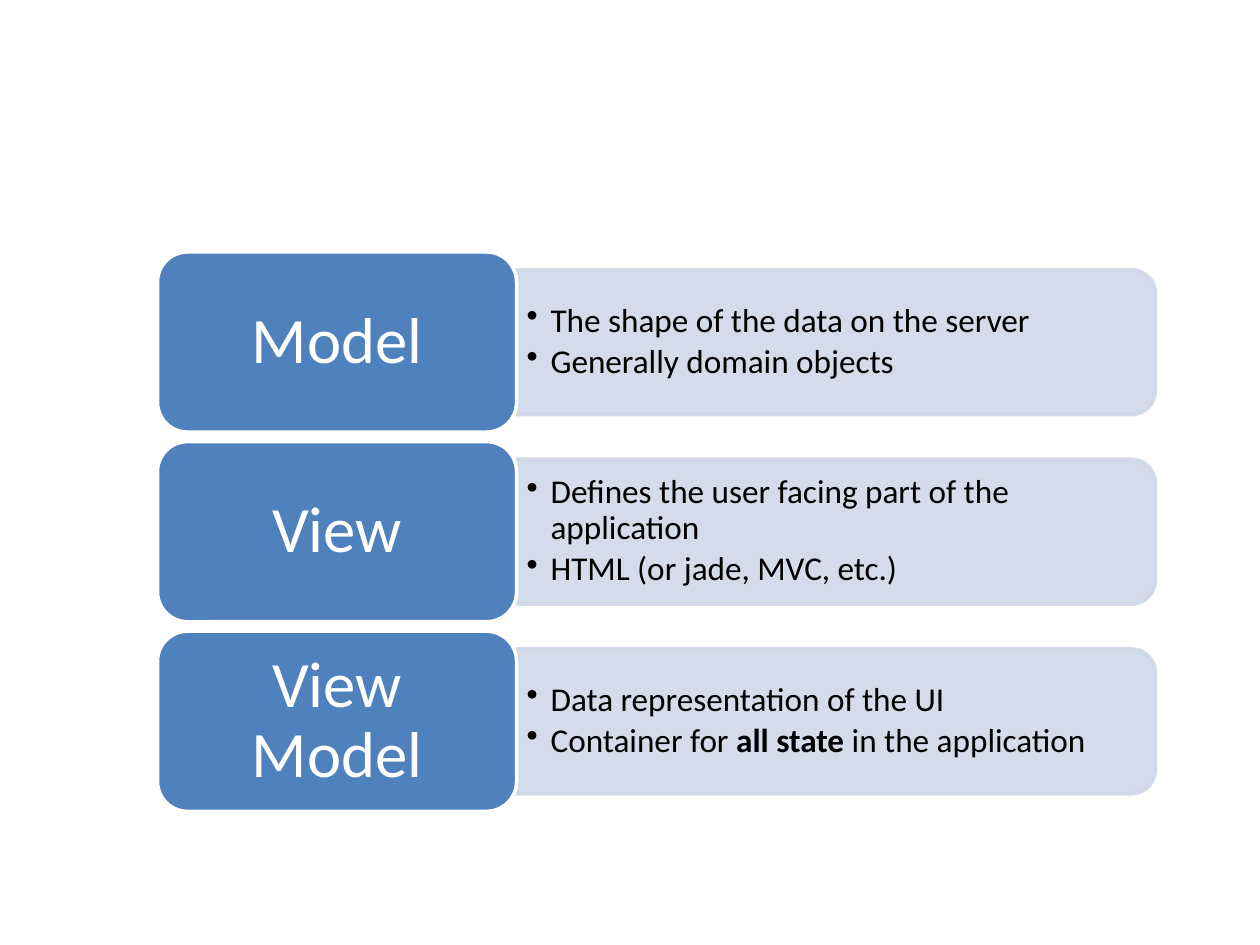
from lxml import etree
from pptx import Presentation
from pptx import util as u
from pptx.dml.color import RGBColor
from pptx.enum import shapes, text
from pptx.oxml.ns import qn

BLUE = RGBColor(0x4F, 0x81, 0xBD)
PALE = RGBColor(0xD0, 0xD8, 0xE8)
WHITE = RGBColor(0xFF, 0xFF, 0xFF)
BLACK = RGBColor(0, 0, 0)
FONT = "Calibri"

LEFT, TOP, WIDTH = 1.25, 2, 7.92
ROW_H, ROW_PITCH = 1.43, 1.505
LABEL_W, PANEL_H = 2.85, 1.15

ROWS = [
    ("Model", [
        [("The shape of the data on the server", False)],
        [("Generally domain objects", False)],
    ]),
    ("View", [
        [("Defines the user facing part of the application", False)],
        [("HTML (or jade, MVC, etc.)", False)],
    ]),
    ("View Model", [
        [("Data representation of the UI", False)],
        [("Container for ", False), ("all state", True), (" in the application", False)],
    ]),
]


def add_box(s, kind, x, y, w, h, fill, line):
    sp = s.shapes.add_shape(kind, *map(u.Inches, (x, y, w, h)))
    sp.shadow.inherit = False
    sp.fill.solid()
    sp.fill.fore_color.rgb = fill
    sp.line.color.rgb = line
    sp.line.width = u.Pt(2)
    return sp


def set_frame(tf, dx, dy):
    tf.word_wrap = True
    tf.vertical_anchor = text.MSO_ANCHOR.MIDDLE
    tf.margin_left = tf.margin_right = u.Inches(dx)
    tf.margin_top = tf.margin_bottom = u.Inches(dy)


def add_run(p, words, size, color, bold=False):
    r = p.add_run()
    r.text = words
    r.font.name = FONT
    r.font.size = u.Pt(size)
    r.font.color.rgb = color
    r.font.bold = bold


def set_bullet(p):
    pPr = p._p.get_or_add_pPr()
    pPr.set("marL", str(u.Inches(0.19)))
    pPr.set("indent", str(u.Inches(-0.19)))
    etree.SubElement(pPr, qn("a:buChar")).set("char", "•")


def add_panel(s, x, y, w, h):
    sp = add_box(s, shapes.MSO_SHAPE.ROUND_2_SAME_RECTANGLE,
                 x + (w - h) / 2, y + (h - w) / 2, h, w, PALE, PALE)
    sp.rotation = 90
    for color in sp._element.spPr.iter(qn("a:srgbClr")):
        etree.SubElement(color, qn("a:alpha")).set("val", "90000")


def add_details(s, x, y, w, h, points):
    tf = s.shapes.add_textbox(*map(u.Inches, (x, y, w, h))).text_frame
    set_frame(tf, 0.08, 0.04)
    for i, runs in enumerate(points):
        p = tf.add_paragraph() if i else tf.paragraphs[0]
        p.line_spacing = 0.9
        p.space_after = u.Pt(3)
        set_bullet(p)
        for words, bold in runs:
            add_run(p, words, 19, BLACK, bold)


def add_label(s, x, y, w, h, words):
    sp = add_box(s, shapes.MSO_SHAPE.ROUNDED_RECTANGLE, x, y, w, h, BLUE, WHITE)
    set_frame(sp.text_frame, 0.15, 0.08)
    p = sp.text_frame.paragraphs[0]
    p.alignment = text.PP_ALIGN.CENTER
    p.line_spacing = 0.9
    add_run(p, words, 37, WHITE)


def add_row(s, x, y, w, h, label, points):
    panel_x, panel_w = x + LABEL_W, w - LABEL_W
    add_panel(s, panel_x, y + (h - PANEL_H) / 2, panel_w, PANEL_H)
    add_details(s, panel_x, y + 0.2, panel_w - 0.06, h - 0.4, points)
    add_label(s, x, y, LABEL_W, h, label)


prs = Presentation()
prs.slide_width, prs.slide_height = u.Inches(10), u.Inches(7.5)
s = prs.slides.add_slide(prs.slide_layouts[6])
for i, (label, points) in enumerate(ROWS):
    add_row(s, LEFT, TOP + i * ROW_PITCH, WIDTH, ROW_H, label, points)
prs.save("out.pptx")
